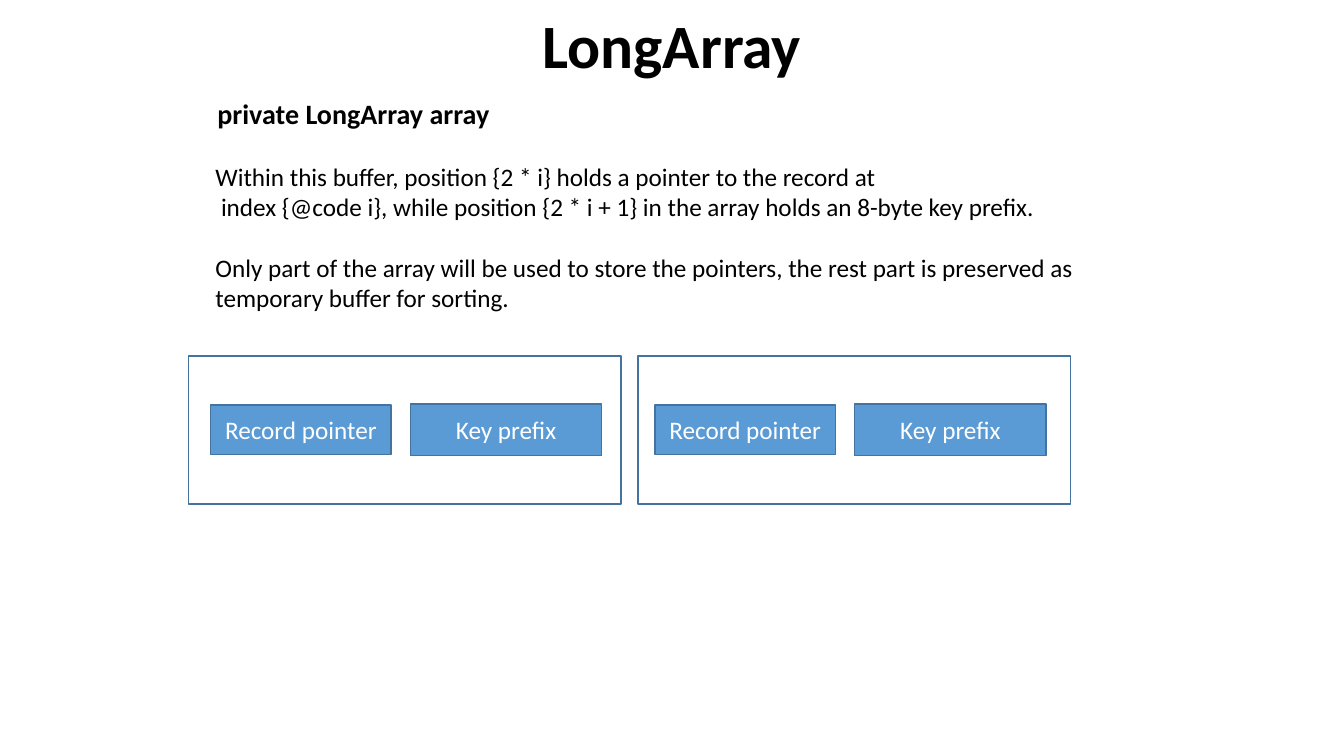
from pptx import Presentation
from pptx.dml.color import RGBColor as RGB
from pptx.enum.shapes import MSO_SHAPE as SHAPE
from pptx.enum.text import MSO_ANCHOR as ANCHOR, MSO_AUTO_SIZE as FIT, PP_ALIGN as ALIGN
from pptx.util import Pt

TITLE = "LongArray"
# text, format, left indent, space before
LINES = [
    ("private LongArray array", {"size": Pt(20), "bold": True}, 1.4, 0),
    ("Within this buffer, position {2 * i} holds a pointer to the record at", {}, 0, 22),
    ("index {@code i}, while position {2 * i + 1} in the array holds an 8-byte key prefix.",
     {}, 4, 0),
    ("Only part of the array will be used to store the pointers, the rest part is preserved as",
     {}, 0, 22),
    ("temporary buffer for sorting.", {}, 0, 0),
]
# label, offset from the first field, top, width, height
FIELDS = [("Record pointer", 0, 289.4, 128.9, 35.3),
          ("Key prefix", 142.6, 288.7, 136.8, 36.7)]
# left of the record frame, left of its first field
RECORDS = [(134.6, 150.5), (455.8, 467.9)]
COLORS = {"text": "000000", "label": "FFFFFF", "field": "5B9BD5", "line": "43739E"}


def add_run(p, text, color, **fmt):
    """Add a formatted Calibri run to a paragraph."""
    r = p.add_run()
    r.text = text
    for name, value in ({"name": "Calibri", "size": Pt(18), "bold": False} | fmt).items():
        setattr(r.font, name, value)
    r.font.color.rgb = RGB.from_string(COLORS[color])


def add_box(s, box, label=None):
    """Add an outlined rectangle, filled and labelled if it is a field."""
    sp = s.shapes.add_shape(SHAPE.RECTANGLE, *map(Pt, box))
    sp.shadow.inherit = False
    sp.line.color.rgb = RGB.from_string(COLORS["line"])
    sp.line.width = Pt(1)
    if label is None:
        sp.fill.background()
        return
    sp.fill.solid()
    sp.fill.fore_color.rgb = RGB.from_string(COLORS["field"])
    tf = sp.text_frame
    tf.vertical_anchor = ANCHOR.MIDDLE
    p = tf.paragraphs[0]
    p.alignment = ALIGN.CENTER
    add_run(p, label, "label")


def add_title(s):
    """Place and format the title."""
    sp = s.shapes.title
    sp.left, sp.top, sp.width, sp.height = map(Pt, (0, 1.4, 960, 60.9))
    tf = sp.text_frame
    tf.vertical_anchor = ANCHOR.TOP
    tf.auto_size = FIT.NONE
    p = tf.paragraphs[0]
    p.alignment = ALIGN.CENTER
    add_run(p, TITLE, "text", size=Pt(44), bold=True)


def add_description(s):
    """Add the explanation, one paragraph per line."""
    tf = s.shapes.add_textbox(*map(Pt, (146.8, 65.5, 677.6, 164))).text_frame
    tf.word_wrap = True
    for i, (text, fmt, indent, before) in enumerate(LINES):
        p = tf.add_paragraph() if i else tf.paragraphs[0]
        p.space_before = Pt(before)
        p._p.get_or_add_pPr().set("marL", str(Pt(indent)))
        add_run(p, text, "text", **fmt)


prs = Presentation()
prs.slide_width, prs.slide_height = Pt(960), Pt(540)
s = prs.slides.add_slide(prs.slide_layouts[5])
add_title(s)
add_description(s)
for frame_left, field_left in RECORDS:
    add_box(s, (frame_left, 254.2, 308.9, 105.8))
    for label, offset, *rest in FIELDS:
        add_box(s, (field_left + offset, *rest), label)
prs.save("out.pptx")
